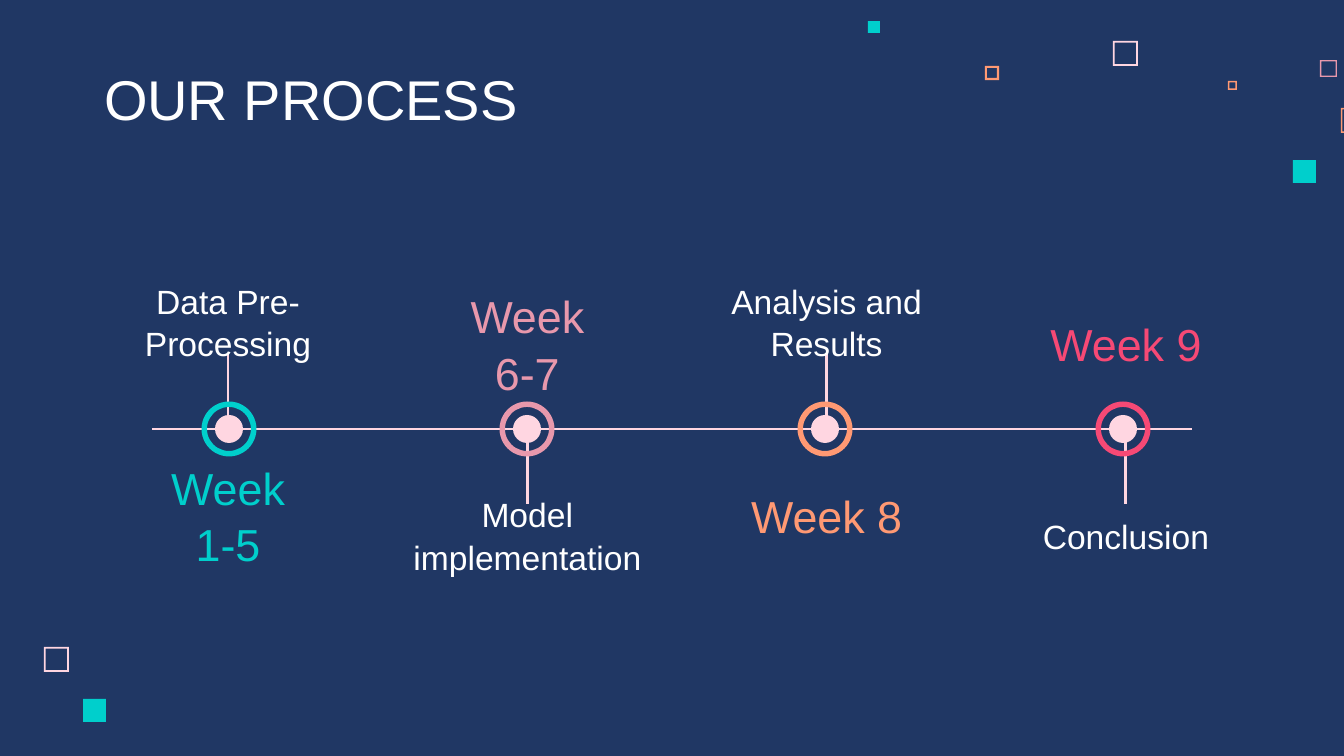
import pptx
import pptx.util
import pptx.dml.color
import pptx.oxml.ns
from pptx.enum.shapes import MSO_CONNECTOR, MSO_SHAPE
from pptx.enum.text import MSO_ANCHOR, PP_ALIGN
from lxml import etree

EMU_PER_PX = 9144000 / 1344
NAVY, WHITE, BLUSH = "203764", "FFFFFF", "FFD6E1"
TEAL, ROSE, ORANGE, RED = "00CFCC", "E898AC", "FF9973", "F64975"


def px(length):
    return pptx.util.Emu(round(length * EMU_PER_PX))


def color(hex_string):
    return pptx.dml.color.RGBColor.from_string(hex_string)


def add_filled(slide, kind, box, fill, adjustment=None):
    shape = slide.shapes.add_shape(kind, *map(px, box))
    shape.shadow.inherit = False
    shape.fill.solid()
    shape.fill.fore_color.rgb = color(fill)
    shape.line.fill.background()
    if adjustment is not None:
        shape.adjustments[0] = adjustment
    return shape


def add_line(slide, x1, y1, x2, y2):
    line = slide.shapes.add_connector(MSO_CONNECTOR.STRAIGHT, px(x1), px(y1), px(x2), px(y2))
    line.line.color.rgb = color(BLUSH)
    line.line.width = pptx.util.Pt(1.5)
    properties = line._element.spPr
    etree.SubElement(properties, pptx.oxml.ns.qn("a:effectLst"))


def set_text(shape, text, size, hex_string, anchor, align):
    frame = shape.text_frame
    frame.text = text
    frame.word_wrap = True
    frame.auto_size = pptx.enum.text.MSO_AUTO_SIZE.NONE
    frame.vertical_anchor = anchor
    frame.margin_left = frame.margin_right = px(13)
    frame.margin_top = frame.margin_bottom = px(13)
    paragraph = frame.paragraphs[0]
    paragraph.alignment = align
    paragraph.line_spacing = 1.05
    font = paragraph.runs[0].font
    font.name = "Arial"
    font.size = pptx.util.Pt(size)
    font.color.rgb = color(hex_string)


def add_label(slide, center, top, width, text, size, hex_string, anchor):
    label = slide.shapes.add_textbox(px(center - width / 2), px(top), px(width), px(63))
    set_text(label, text, size, hex_string, anchor, PP_ALIGN.CENTER)


def place_title(slide, left, top, width, height):
    title = slide.shapes.title
    title.left, title.top, title.width, title.height = map(px, (left, top, width, height))
    set_text(title, "OUR PROCESS", 30, WHITE, MSO_ANCHOR.BOTTOM, PP_ALIGN.LEFT)


def add_confetti(slide, left, top, squares):
    """Scatter squares; a border of 0 means a solid square."""
    for x, y, side, border, fill in squares:
        kind = MSO_SHAPE.FRAME if border else MSO_SHAPE.RECTANGLE
        add_filled(slide, kind, (left + x, top + y, side, side), fill,
                   border / side if border else None)


def add_timeline(slide, left, axis, width):
    steps = [
        ("Data Pre-Processing", "Week 1-5", TEAL),
        ("Model implementation", "Week 6-7", ROSE),
        ("Analysis and Results", "Week 8", ORANGE),
        ("Conclusion", "Week 9", RED),
    ]
    label_centers = [left + 76 + 299.3 * i for i in range(len(steps))]

    # Stems point up and down in turn, below the axis and the rings
    for i, center in enumerate(label_centers):
        near, far = (-8, -76) if i % 2 == 0 else (9, 75)
        add_line(slide, center, axis + far, center, axis + near)
    add_line(slide, left, axis, left + width, axis)

    # Each step has a dot, a ring, a name at the stem and a week opposite
    for i, (name, week, accent) in enumerate(steps):
        node, center = left + 77 + 298 * i, label_centers[i]
        add_filled(slide, MSO_SHAPE.OVAL, (node - 14, axis - 14, 28, 28), BLUSH)
        add_filled(slide, MSO_SHAPE.DONUT, (node - 27.5, axis - 27.5, 55, 55), accent, 0.1)
        if i % 2 == 0:
            name_top, name_anchor, week_top = -163, MSO_ANCHOR.TOP, 54
        else:
            # A one-line name sits closer to the axis
            name_top = 77 if name == "Conclusion" else 98
            name_anchor, week_top = MSO_ANCHOR.BOTTOM, -118
        add_label(slide, center, axis + name_top, 277, name, 18, WHITE, name_anchor)
        add_label(slide, center, axis + week_top, 190, week, 24, accent, MSO_ANCHOR.MIDDLE)


def main():
    deck = pptx.Presentation()
    deck.slide_width, deck.slide_height = px(1344), px(756)
    slide = deck.slides.add_slide(deck.slide_layouts[5])
    slide.background.fill.solid()
    slide.background.fill.fore_color.rgb = color(NAVY)

    # Top right corner
    add_confetti(slide, 868, 21, [
        (245, 20, 25, 1.7, BLUSH),
        (452, 39, 17, 1.4, ROSE),
        (360, 60, 9, 1.5, ORANGE),
        (473, 87, 25, 1.4, ORANGE),
        (425, 139, 23, 0, TEAL),
        (117, 45, 14, 2, ORANGE),
        (0, 0, 12, 0, TEAL),
    ])
    # Bottom left corner
    add_confetti(slide, 44, 647, [(0, 0, 25, 1.7, BLUSH), (39, 52, 23, 0, TEAL)])

    place_title(slide, 91, 60, 695, 85)
    add_timeline(slide, 152, 429, 1040)
    deck.save("out.pptx")


if __name__ == "__main__":
    main()
